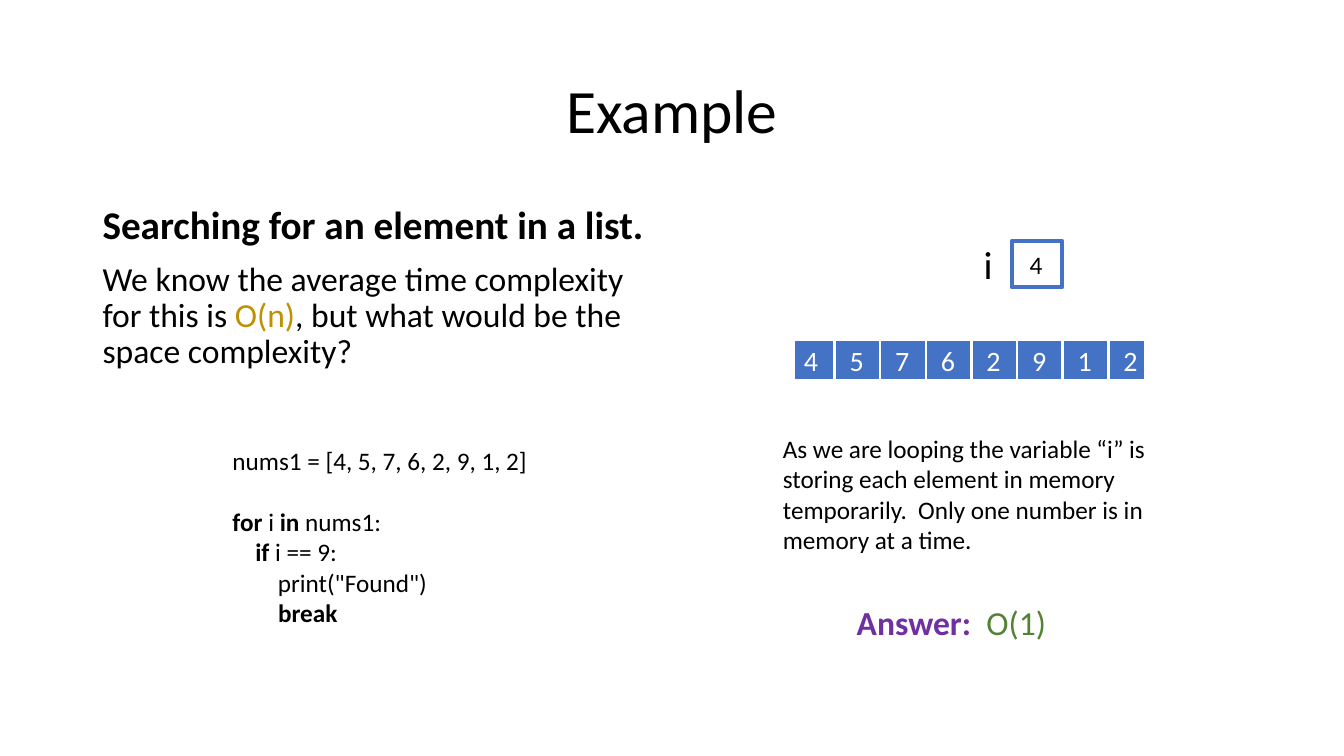
from dataclasses import dataclass
from typing import Optional

from lxml import etree
from pptx import Presentation
from pptx import util as u
from pptx.dml.color import RGBColor
from pptx.enum import shapes, text
from pptx.oxml import ns

BLACK = RGBColor(0x00, 0x00, 0x00)
WHITE = RGBColor(0xFF, 0xFF, 0xFF)
BLUE = RGBColor(0x44, 0x72, 0xC4)
GOLD = RGBColor(0xBF, 0x90, 0x00)
PURPLE = RGBColor(0x70, 0x30, 0xA0)
GREEN = RGBColor(0x54, 0x82, 0x35)
FONT = "Calibri"
NUMBERS = (4, 5, 7, 6, 2, 9, 1, 2)
CELL = 1.15  # width of one list cell, cm


@dataclass
class Run:
    text: str
    color: RGBColor = BLACK
    bold: bool = False


@dataclass
class Para:
    runs: list[Run]
    size: float
    before: float = 0
    spacing: Optional[float] = None


@dataclass
class Label:
    box: tuple[float, float, float, float]
    paras: list[Para]
    wrap: bool = False


@dataclass
class Block:
    box: tuple[float, float, float, float]
    fill: RGBColor
    line: RGBColor
    weight: float


def cm(values: tuple) -> list:
    return [u.Cm(v) for v in values]


def place(sp, box: tuple) -> None:
    sp.left, sp.top, sp.width, sp.height = cm(box)


def add_ppr_child(p, tag: str):
    return etree.SubElement(p._p.get_or_add_pPr(), ns.qn(tag))


def write(tf, paras: list[Para], bullets_off: bool = False, tabs: int = 0) -> None:
    for i, para in enumerate(paras):
        p = tf.paragraphs[0] if i == 0 else tf.add_paragraph()
        if bullets_off:
            ppr = p._p.get_or_add_pPr()
            ppr.set("marL", "0")
            ppr.set("indent", "0")
            add_ppr_child(p, "a:buNone")
        if tabs:
            tab_list = add_ppr_child(p, "a:tabLst")
            for k in range(1, tabs + 1):
                etree.SubElement(tab_list, ns.qn("a:tab"),
                                 pos=str(u.Cm(k * CELL)), algn="l")
        p.space_before = u.Pt(para.before)
        if para.spacing:
            p.line_spacing = para.spacing
        p.font.name = FONT
        p.font.size = u.Pt(para.size)
        for run in para.runs:
            r = p.add_run()
            r.text = run.text
            r.font.bold = run.bold
            r.font.color.rgb = run.color


def add_label(s, label: Label, tabs: int = 0) -> None:
    tf = s.shapes.add_textbox(*cm(label.box)).text_frame
    tf.word_wrap = label.wrap
    tf.auto_size = text.MSO_AUTO_SIZE.SHAPE_TO_FIT_TEXT
    write(tf, label.paras, tabs=tabs)


def add_block(s, block: Block) -> None:
    sp = s.shapes.add_shape(shapes.MSO_SHAPE.RECTANGLE, *cm(block.box))
    sp.shadow.inherit = False
    sp.fill.solid()
    sp.fill.fore_color.rgb = block.fill
    sp.line.color.rgb = block.line
    sp.line.width = u.Pt(block.weight)


def add_divider(s, x: float, top: float, height: float) -> None:
    line = s.shapes.add_connector(shapes.MSO_CONNECTOR.STRAIGHT,
                                  *cm((x, top, x, top + height)))
    line.line.color.rgb = WHITE
    line.line.width = u.Pt(1.75)
    etree.SubElement(line._element.spPr, ns.qn("a:effectLst"))


def main() -> None:
    prs = Presentation()
    prs.slide_width, prs.slide_height = u.Cm(33.87), u.Cm(19.05)
    s = prs.slides.add_slide(prs.slide_layouts[1])

    # Title and question
    title, body = s.placeholders
    place(title, (2.33, 1.01, 29.21, 3.68))
    title.text_frame.vertical_anchor = text.MSO_ANCHOR.MIDDLE
    write(title.text_frame, [Para([Run("Example")], 44, spacing=0.9)])
    title.text_frame.paragraphs[0].alignment = text.PP_ALIGN.CENTER
    place(body, (2.33, 5.06, 14.61, 12.09))
    body.text_frame.auto_size = text.MSO_AUTO_SIZE.NONE
    write(body.text_frame, [
        Para([Run("Searching for an element in a list.", bold=True)], 28, spacing=0.9),
        Para([Run("We know the average time complexity for this is "),
              Run("O(n)", GOLD),
              Run(", but what would be the space complexity?")], 24, 10, 0.9),
    ], bullets_off=True)

    # Code
    add_label(s, Label((5.61, 11.1, 8.03, 4.88), [
        Para([Run("nums1 = [4, 5, 7, 6, 2, 9, 1, 2]")], 18),
        Para([Run("for ", bold=True), Run("i "), Run("in ", bold=True),
              Run("nums1:")], 18, before=22),
        Para([Run("    "), Run("if ", bold=True), Run("i == 9:")], 18),
        Para([Run('        print("Found")')], 18),
        Para([Run("        "), Run("break", bold=True)], 18),
    ]))

    # List cells
    add_block(s, Block((20.01, 8.56, 8.86, 1.02), BLUE, WHITE, 1.5))
    digits = "\t".join(str(n) for n in NUMBERS)
    add_label(s, Label((20.01, 8.53, 9.22, 1.12),
                       [Para([Run(digits, WHITE)], 20)], wrap=True),
              tabs=len(NUMBERS) - 1)
    for k in range(len(NUMBERS) - 1):
        add_divider(s, 21.03 + k * CELL, 8.6, 1.02)

    # Loop variable
    add_block(s, Block((25.5, 6.07, 1.27, 1.17), WHITE, BLUE, 3))

    # Labels and answer
    explanation = ("As we are looping the variable “i” is",
                   "storing each element in memory",
                   "temporarily.  Only one number is in",
                   "memory at a time.")
    for label in (
        Label((25.7, 6.15, 0.84, 1.02), [Para([Run("4")], 18)]),
        Label((24.54, 5.92, 0.74, 1.45), [Para([Run("i")], 28)]),
        Label((19.48, 10.8, 9.75, 3.33),
              [Para([Run(line)], 18) for line in explanation]),
        Label((21.34, 15.04, 5.33, 1.27),
              [Para([Run("Answer:  ", PURPLE, True), Run("O(1)", GREEN)], 24)]),
    ):
        add_label(s, label)

    prs.save("out.pptx")


if __name__ == "__main__":
    main()
